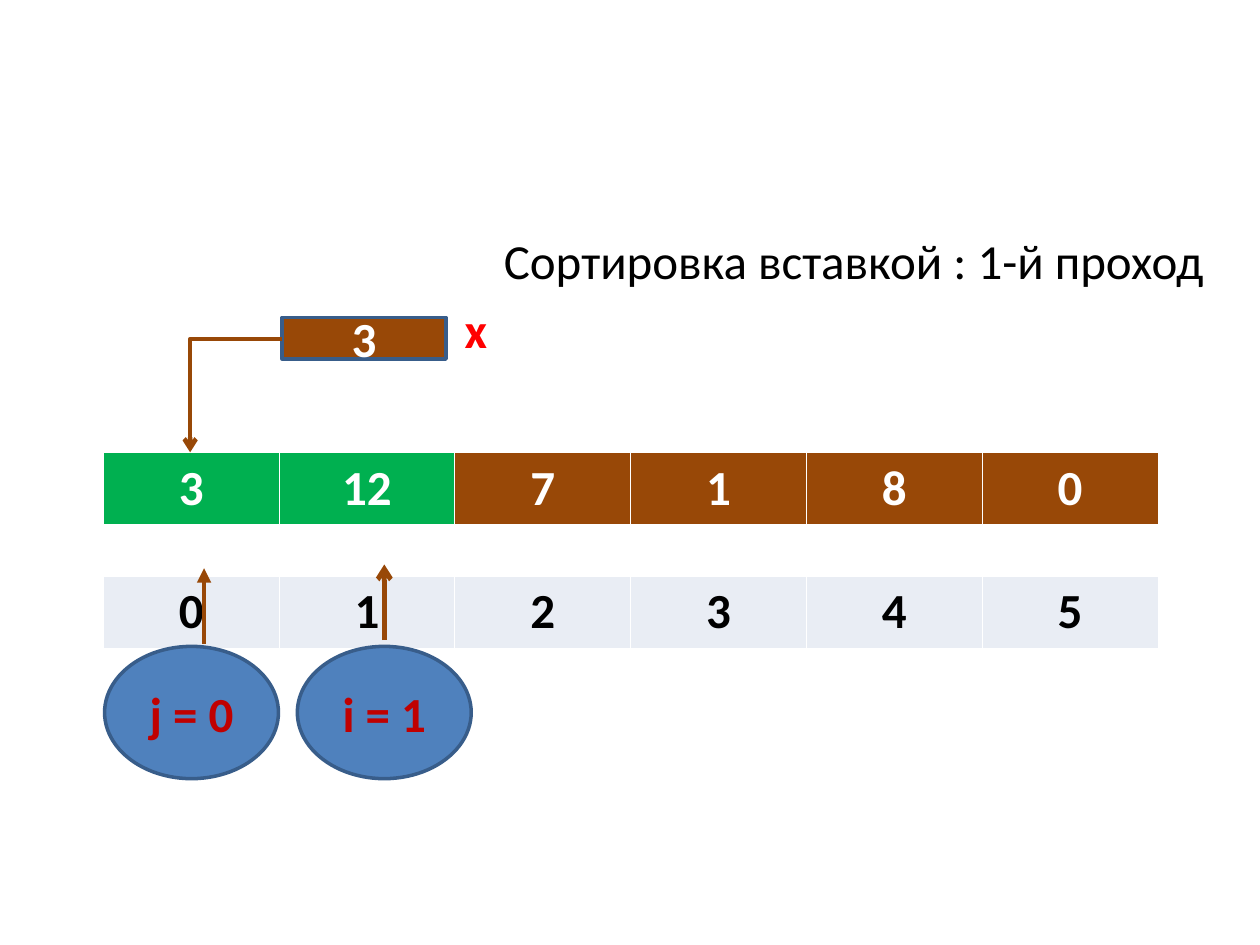
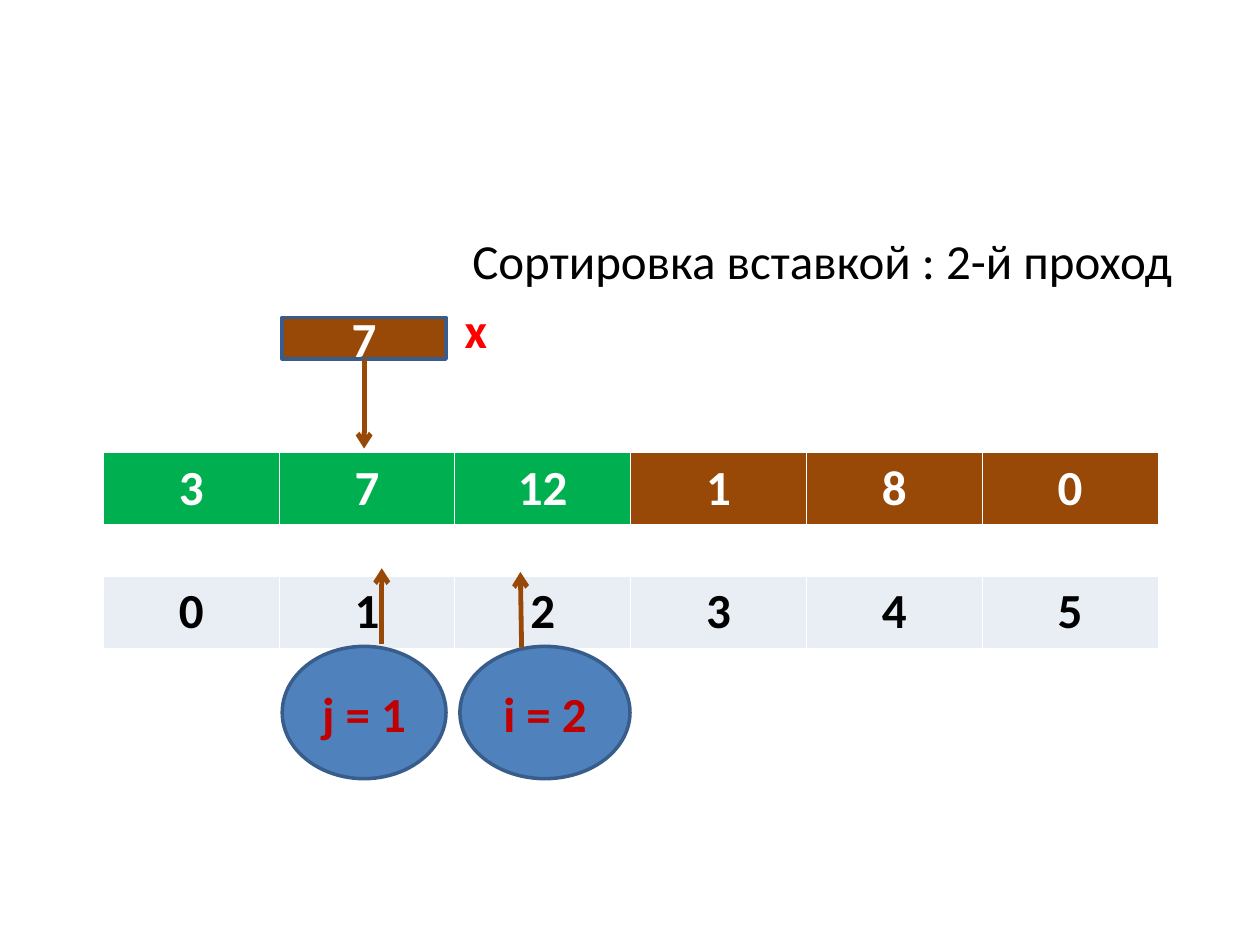
from dataclasses import dataclass
from pptx import Presentation
from pptx.dml.color import RGBColor
from pptx.enum.shapes import MSO_CONNECTOR, MSO_SHAPE
from pptx.enum.text import MSO_ANCHOR, MSO_AUTO_SIZE, PP_ALIGN
from pptx.oxml.ns import qn
from pptx.util import Inches, Pt
from lxml.etree import SubElement


@dataclass(frozen=True)
class Theme:
    font: str = "Calibri"
    size: float = 28
    white: str = "FFFFFF"
    black: str = "000000"
    sorted_fill: str = "00B050"
    brown: str = "984807"
    index_fill: str = "E9EDF4"
    marker_fill: str = "4F81BD"
    outline: str = "385D8A"
    marker_text: str = "C00000"
    key_label: str = "FF0000"
    outline_width: float = 2
    arrow_width: float = 2.75
    elbow_width: float = 2.5
    thin: float = 0.45
    thick: float = 1.47


T = Theme()
rgb = RGBColor.from_string


# Text
def write(tf, text, color, bold=True, align=PP_ALIGN.CENTER):
    p = tf.paragraphs[0]
    p.alignment = align
    r = p.add_run()
    r.text = text
    formats = {"name": T.font, "size": Pt(T.size), "bold": bold}
    for name, value in formats.items():
        setattr(r.font, name, value)
    r.font.color.rgb = rgb(color)


def add_label(s, box, text, color, bold):
    tf = s.shapes.add_textbox(*map(Inches, box)).text_frame
    tf.word_wrap = True
    tf.auto_size = MSO_AUTO_SIZE.SHAPE_TO_FIT_TEXT
    write(tf, text, color, bold, PP_ALIGN.LEFT)


# Rectangles and ellipses
def add_box(s, kind, box, text, fill, color):
    sp = s.shapes.add_shape(kind, *map(Inches, box))
    sp.shadow.inherit = False
    sp.fill.solid()
    sp.fill.fore_color.rgb = rgb(fill)
    sp.line.color.rgb = rgb(T.outline)
    sp.line.width = Pt(T.outline_width)
    sp.text_frame.vertical_anchor = MSO_ANCHOR.MIDDLE
    write(sp.text_frame, text, color)
    return sp


def add_marker(s, left, width, text):
    add_box(s, MSO_SHAPE.OVAL, (left, 5.13, width, 1.05), text,
            T.marker_fill, T.marker_text)


# Arrows
def add_arrow(s, start, end, head="arrow", kind=MSO_CONNECTOR.STRAIGHT,
              width=T.arrow_width):
    cx = s.shapes.add_connector(kind, *map(Inches, start + end))
    cx.line.color.rgb = rgb(T.brown)
    cx.line.width = Pt(width)
    SubElement(cx.line._get_or_add_ln(), qn("a:tailEnd"), type=head)
    SubElement(cx._element.spPr, qn("a:effectLst"))
    return cx


def add_elbow(s, start, end):
    cx = add_arrow(s, start, end, kind=MSO_CONNECTOR.ELBOW,
                   width=T.elbow_width)
    # One corner only: across, then down
    cx._element.spPr.find(qn("a:prstGeom")).set("prst", "bentConnector2")


# Table of values above their indices
def set_borders(cell, top, bottom):
    tcPr = cell._tc.get_or_add_tcPr()
    widths = {"L": T.thin, "R": T.thin, "T": top, "B": bottom}
    for i, (side, width) in enumerate(widths.items()):
        ln = SubElement(tcPr, qn(f"a:ln{side}"), w=str(Pt(width)))
        SubElement(SubElement(ln, qn("a:solidFill")), qn("a:srgbClr"),
                   val=T.white)
        tcPr.insert(i, ln)


def add_array(s, values, sorted_count):
    box = map(Inches, (0.82, 3.59, 8.37, 1.43))
    table = s.shapes.add_table(3, len(values), *box).table
    table.first_row = table.horz_banding = False
    for row, height in zip(table.rows, (0.57, 0.3, 0.57)):
        row.height = Inches(height)
    for i, value in enumerate(values):
        value_fill = T.sorted_fill if i < sorted_count else T.brown
        column = (
            (str(value), value_fill, T.white, T.thin, T.thick),
            ("", T.white, T.black, T.thick, T.thin),
            (str(i), T.index_fill, T.black, T.thin, T.thin),
        )
        for row, (text, fill, color, top, bottom) in enumerate(column):
            cell = table.cell(row, i)
            cell.fill.solid()
            cell.fill.fore_color.rgb = rgb(fill)
            set_borders(cell, top, bottom)
            if text:
                write(cell.text_frame, text, color)


# Parts shared by every pass
def add_pass(prs, number, values, key, title_left, title_width):
    s = prs.slides.add_slide(prs.slide_layouts[6])
    add_array(s, values, number + 1)
    key_box = add_box(s, MSO_SHAPE.RECTANGLE, (2.24, 2.52, 1.3, 0.33),
                      str(key), T.brown, T.white)
    add_label(s, (3.59, 2.33, 1.73, 0.57), "х", T.key_label, True)
    add_label(s, (title_left, 1.78, title_width, 0.57),
              f"Сортировка вставкой : {number}-й проход", T.black, False)
    return s, key_box


def main():
    prs = Presentation()
    prs.slide_width, prs.slide_height = Inches(10), Inches(7.5)

    # First pass
    s, key_box = add_pass(prs, 1, (3, 12, 7, 1, 8, 0), 3, 3.9, 5.83)
    add_marker(s, 2.36, 1.38, "i = 1")
    add_elbow(s, (2.24, 2.69), (1.51, 3.59))
    add_marker(s, 0.83, 1.38, "j = 0")
    add_arrow(s, (1.62, 5.11), (1.62, 4.51), "triangle")
    add_arrow(s, (3.05, 5.08), (3.05, 4.48))

    # Second pass
    s, key_box = add_pass(prs, 2, (3, 7, 12, 1, 8, 0), 7, 3.65, 6.15)
    add_marker(s, 3.65, 1.35, "i = 2")
    add_marker(s, 2.24, 1.3, "j = 1")
    add_arrow(s, (2.89, 2.85), (2.89, 3.56)).begin_connect(key_box, 2)
    add_arrow(s, (3.03, 5.11), (3.03, 4.51))
    add_arrow(s, (4.14, 5.14), (4.13, 4.54))

    prs.save("out.pptx")


if __name__ == "__main__":
    main()
